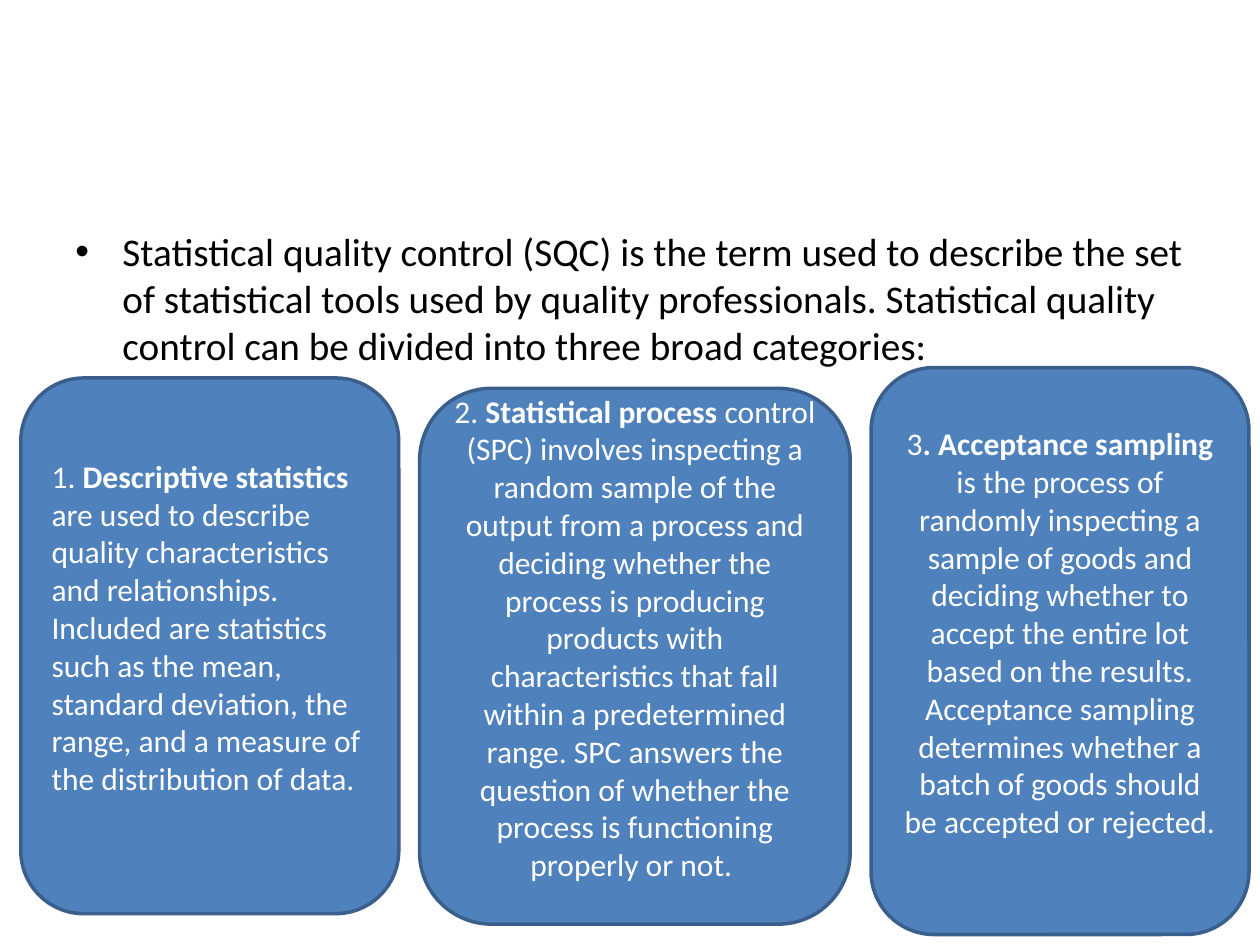
import pptx
import pptx.util
import pptx.dml.color
import pptx.enum.shapes
import pptx.enum.text
import pptx.oxml.ns
from lxml import etree

Cm = pptx.util.Cm
Pt = pptx.util.Pt
LEFT = pptx.enum.text.PP_ALIGN.LEFT
MID = pptx.enum.text.PP_ALIGN.CENTER

INTRO = (
    "Statistical quality control (SQC) is the term used to describe the set of "
    "statistical tools used by quality professionals. Statistical quality control "
    "can be divided into three broad categories:"
)
CARDS = [
    {"top": 7.62, "width": 7.62, "height": 10.8, "align": LEFT, "text": (
        "1. ", "Descriptive statistics ",
        "are used to describe quality characteristics and relationships. Included are "
        "statistics such as the mean, standard deviation, the range, and a measure of "
        "the distribution of data.")},
    {"top": 7.83, "width": 8.68, "height": 10.8, "align": MID, "text": (
        "2. ", "Statistical process ",
        "control (SPC) involves inspecting a random sample of the output from a process "
        "and deciding whether the process is producing products with characteristics "
        "that fall within a predetermined range. SPC answers the question of whether "
        "the process is functioning properly or not. ")},
    {"top": 7.41, "width": 7.62, "height": 11.43, "align": MID, "text": (
        "3", ". Acceptance sampling ",
        "is the process of randomly inspecting a sample of goods and deciding whether "
        "to accept the entire lot based on the results. Acceptance sampling determines "
        "whether a batch of goods should be accepted or rejected.")},
]
GAP = 0.42
FRAME = {
    "word_wrap": True,
    "vertical_anchor": pptx.enum.text.MSO_ANCHOR.MIDDLE,
    "margin_bottom": Cm(0.89),
}


def tint(code):
    return pptx.dml.color.RGBColor.from_string(code)


def put(thing, form):
    for name, value in form.items():
        setattr(thing, name, value)


def write(para, text, size, color, bold=False):
    run = para.add_run()
    run.text = text
    put(run.font, {"name": "Calibri", "size": Pt(size), "bold": bold})
    run.font.color.rgb = tint(color)


def add_intro(slide):
    box = slide.shapes.add_textbox(Cm(1.27), Cm(4.45), Cm(22.86), Cm(3.18))
    box.text_frame.word_wrap = True
    para = box.text_frame.paragraphs[0]
    props = para._p.get_or_add_pPr()
    props.set("marL", str(Cm(0.95)))
    props.set("indent", str(Cm(-0.95)))
    font = etree.SubElement(props, pptx.oxml.ns.qn("a:buFont"))
    font.set("typeface", "Arial")
    mark = etree.SubElement(props, pptx.oxml.ns.qn("a:buChar"))
    mark.set("char", "•")
    write(para, INTRO, 22.4, "000000")


def add_card(slide, left, card):
    shape = slide.shapes.add_shape(
        pptx.enum.shapes.MSO_SHAPE.ROUNDED_RECTANGLE,
        Cm(left), Cm(card["top"]), Cm(card["width"]), Cm(card["height"]))
    shape.shadow.inherit = False
    shape.fill.solid()
    shape.fill.fore_color.rgb = tint("4F81BD")
    shape.line.color.rgb = tint("3A5F8C")
    shape.line.width = Pt(2)
    put(shape.text_frame, FRAME)
    para = shape.text_frame.paragraphs[0]
    para.alignment = card["align"]
    for text, bold in zip(card["text"], (False, True, False)):
        write(para, text, 18, "FFFFFF", bold)


def main():
    deck = pptx.Presentation()
    put(deck, {"slide_width": Cm(25.4), "slide_height": Cm(19.05)})
    slide = deck.slides.add_slide(deck.slide_layouts[6])
    add_intro(slide)
    left = GAP
    for card in CARDS:
        add_card(slide, left, card)
        left += card["width"] + GAP
    deck.save("out.pptx")


if __name__ == "__main__":
    main()
